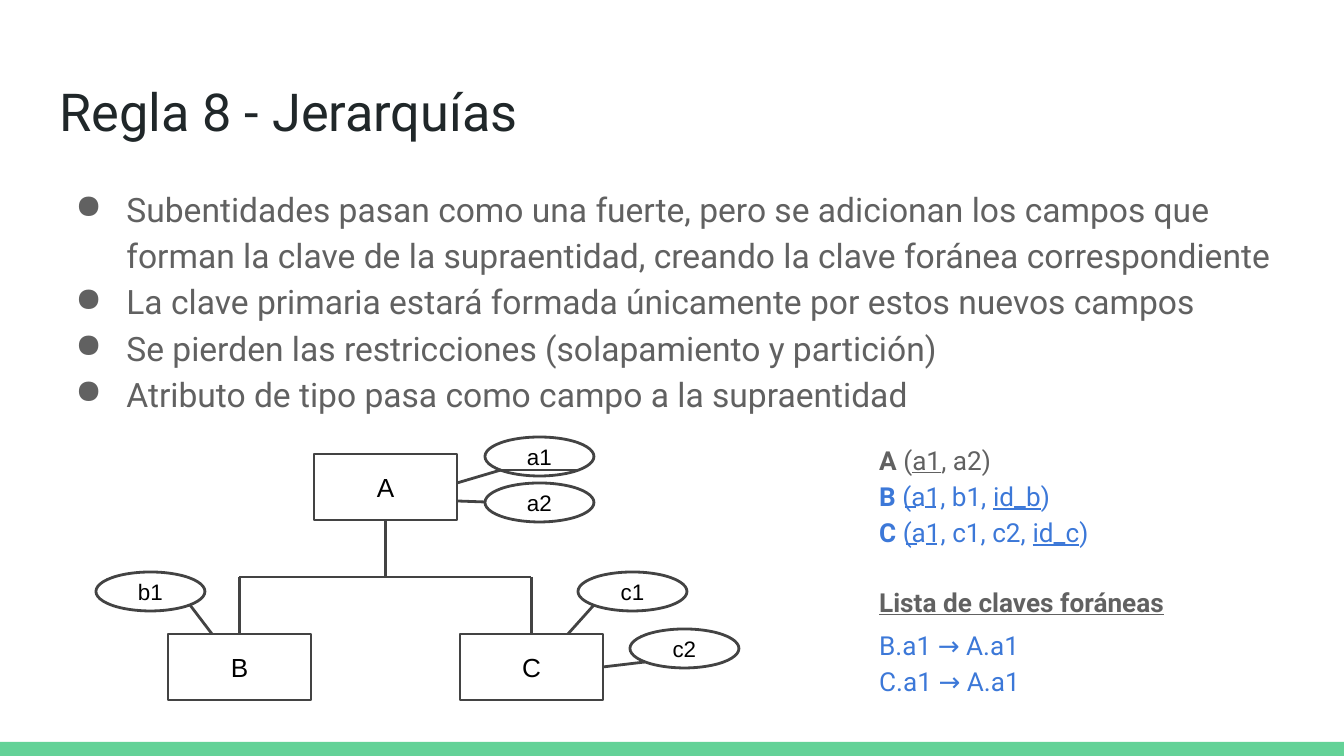
from lxml import etree
from pptx import Presentation
from pptx import util as u
from pptx.dml.color import RGBColor
from pptx.enum import dml, shapes, text
from pptx.oxml.ns import qn

PX = 914400 / 134.4
GREY, BLUE, DARK, INK = "616161", "3C78D8", "434343", "202729"

# Content: a run is (text, colour, style), with b for bold and u for underline
TITLE = "Regla 8 - Jerarquías"
BULLETS = [
    "Subentidades pasan como una fuerte, pero se adicionan los campos que "
    "forman la clave de la supraentidad, creando la clave foránea correspondiente",
    "La clave primaria estará formada únicamente por estos nuevos campos",
    "Se pierden las restricciones (solapamiento y partición)",
    "Atributo de tipo pasa como campo a la supraentidad",
]
RELATIONS = [
    [("A", GREY, "b"), (" (", GREY, ""), ("a1", GREY, "u"), (", a2)", GREY, "")],
    [("B", BLUE, "b"), (" (a1, b1, ", BLUE, ""), ("id_b", BLUE, "u"), (")", BLUE, "")],
    [("C", BLUE, "b"), (" (a1, c1, c2, ", BLUE, ""), ("id_c", BLUE, "u"), (")", BLUE, "")],
]
KEYS_HEADING = [[("Lista de claves foráneas", GREY, "bu")]]
FOREIGN_KEYS = [[("B.a1 → A.a1", BLUE, "")], [("C.a1 → A.a1", BLUE, "")]]
NOTES = [(426, RELATIONS), (568, KEYS_HEADING), (611, FOREIGN_KEYS)]

# Diagram, in px
ENTITY_SIZE, ATTRIBUTE_SIZE = (143, 66), (109, 39)
ENTITIES = {"A": (314, 454), "B": (168, 634), "C": (460, 634)}
ATTRIBUTES = {"a1": (485, 437), "a2": (485, 483), "b1": (96, 572),
              "c1": (578, 572), "c2": (630, 629)}
ATTRIBUTE_LINKS = [(457, 483, 501, 470), (457, 501, 485, 502), (190, 605, 212, 634),
                   (594, 605, 568, 634), (603, 667, 645, 662)]
KEY_UNDERLINE = (501, 470, 578, 470)
FOREIGN_UNDERLINES = [(905, 507, 944, 507), (906, 544, 945, 544)]
BRANCH_Y = 577


def emu(px):
    return u.Emu(round(px * PX))


def colour(value):
    return RGBColor.from_string(value)


def write(paragraph, content, size, font="Roboto", color=GREY, style=""):
    run = paragraph.add_run()
    run.text = content
    run.font.size, run.font.name = u.Pt(size), font
    run.font.color.rgb = colour(color)
    run.font.bold, run.font.underline = "b" in style, "u" in style


def set_frame(frame, anchor=text.MSO_ANCHOR.TOP):
    frame.word_wrap = True
    frame.auto_size = text.MSO_AUTO_SIZE.NONE
    frame.vertical_anchor = anchor
    frame.margin_left = frame.margin_right = u.Inches(0.1)
    frame.margin_top = frame.margin_bottom = u.Inches(0.1)
    return frame


def add_text_box(slide, *box):
    return set_frame(slide.shapes.add_textbox(*map(emu, box)).text_frame)


def add_bullet(paragraph):
    properties = paragraph._p.get_or_add_pPr()
    properties.set("marL", str(u.Inches(0.5)))
    properties.set("indent", str(u.Inches(-0.38)))
    bullet_colour = etree.SubElement(properties, qn("a:buClr"))
    etree.SubElement(bullet_colour, qn("a:srgbClr")).set("val", GREY)
    etree.SubElement(properties, qn("a:buChar")).set("char", "●")


def add_node(slide, kind, label, position, size, font_size):
    shape = slide.shapes.add_shape(kind, *map(emu, position + size))
    shape.shadow.inherit = False
    shape.fill.background()
    shape.line.color.rgb, shape.line.width = colour(DARK), u.Pt(1.5)
    paragraph = set_frame(shape.text_frame, text.MSO_ANCHOR.MIDDLE).paragraphs[0]
    paragraph.alignment = text.PP_ALIGN.CENTER
    write(paragraph, label, font_size, font="Arial", color="000000")


def add_line(slide, ends, color=DARK, dashed=False):
    line = slide.shapes.add_connector(shapes.MSO_CONNECTOR.STRAIGHT, *map(emu, ends))
    line.line.color.rgb, line.line.width = colour(color), u.Pt(1.5)
    if dashed:
        line.line.dash_style = dml.MSO_LINE.DASH
    etree.SubElement(line._element.spPr, qn("a:effectLst"))


def main():
    presentation = Presentation()
    presentation.slide_width, presentation.slide_height = emu(1344), emu(756)
    slide = presentation.slides.add_slide(presentation.slide_layouts[5])

    # Bottom bar
    bar = slide.shapes.add_shape(shapes.MSO_SHAPE.RECTANGLE, *map(emu, (0, 742, 1344, 14)))
    bar.shadow.inherit = False
    bar.fill.solid()
    bar.fill.fore_color.rgb = colour("63D297")
    bar.line.fill.background()

    # Title
    title = slide.shapes.title
    title.left, title.top, title.width, title.height = map(emu, (46, 66, 1253, 85))
    paragraph = set_frame(title.text_frame).paragraphs[0]
    paragraph.alignment = text.PP_ALIGN.LEFT
    write(paragraph, TITLE, 28, color=INK)

    # Rules
    frame = add_text_box(slide, 46, 169, 1263, 74)
    for index, rule in enumerate(BULLETS):
        paragraph = frame.add_paragraph() if index else frame.paragraphs[0]
        paragraph.line_spacing = 1.15
        add_bullet(paragraph)
        write(paragraph, rule, 18)

    # Relations and foreign keys
    for top, lines in NOTES:
        paragraph = add_text_box(slide, 866, top, 405, 74).paragraphs[0]
        paragraph.line_spacing, paragraph.space_after = 1.15, u.Pt(16)
        for index, runs in enumerate(lines):
            if index:
                paragraph.add_line_break()
            for content, color, style in runs:
                write(paragraph, content, 14, color=color, style=style)

    # Entities and attributes
    for label, position in ENTITIES.items():
        add_node(slide, shapes.MSO_SHAPE.RECTANGLE, label, position, ENTITY_SIZE, 14)
    for label, position in ATTRIBUTES.items():
        add_node(slide, shapes.MSO_SHAPE.OVAL, label, position, ATTRIBUTE_SIZE, 12)

    # Hierarchy tree, drawn from the entity centres
    width, height = ENTITY_SIZE
    centre = {label: left + width / 2 for label, (left, top) in ENTITIES.items()}
    add_line(slide, (centre["A"], ENTITIES["A"][1] + height, centre["A"], BRANCH_Y))
    add_line(slide, (centre["B"], BRANCH_Y, centre["C"], BRANCH_Y))
    for child in "BC":
        add_line(slide, (centre[child], BRANCH_Y, centre[child], ENTITIES[child][1]))

    # Attribute links and key underlines
    for ends in ATTRIBUTE_LINKS + [KEY_UNDERLINE]:
        add_line(slide, ends)
    for ends in FOREIGN_UNDERLINES:
        add_line(slide, ends, color=BLUE, dashed=True)

    presentation.save("out.pptx")


if __name__ == "__main__":
    main()
